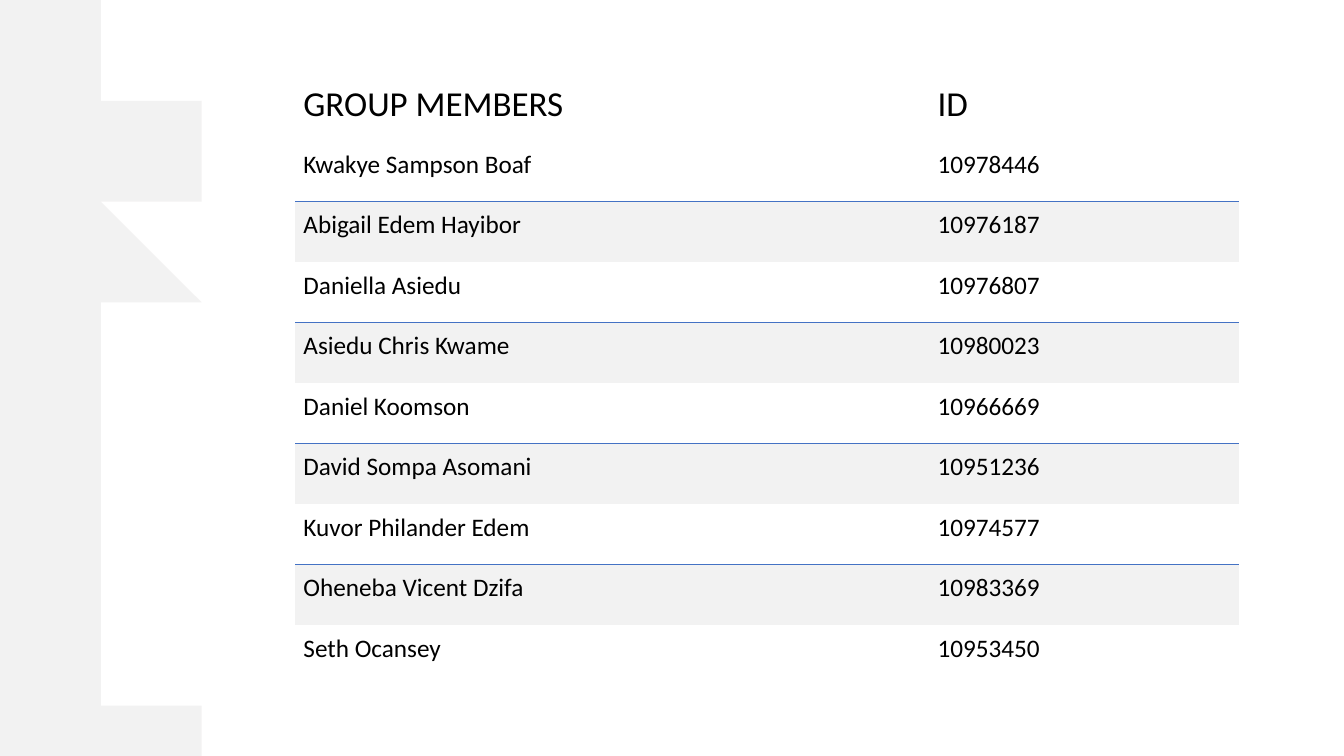
import pptx
import pptx.util
import pptx.dml.color
import pptx.enum.text
import pptx.oxml
import pptx.oxml.ns
import lxml.etree

Inches = pptx.util.Inches
qn = pptx.oxml.ns.qn

# Content
ROWS = [
    ("GROUP MEMBERS", "ID"),
    ("Kwakye Sampson Boaf", "10978446"),
    ("Abigail Edem Hayibor", "10976187"),
    ("Daniella Asiedu", "10976807"),
    ("Asiedu Chris Kwame", "10980023"),
    ("Daniel Koomson", "10966669"),
    ("David Sompa Asomani", "10951236"),
    ("Kuvor Philander Edem", "10974577"),
    ("Oheneba Vicent Dzifa", "10983369"),
    ("Seth Ocansey", "10953450"),
]
COLORS = {"brush": "E7E6E6", "band": "F2F2F2", "rule": "4472C4", "text": "000000"}
WIDTHS = (6.29, 3.07)
HEAD, BODY = 0.7, 0.6

# Corners of the brush stroke, in inches
EDGE = [
    (0, 0), (1.51, 0), (1.85, 0.12), (1.45, 0.09), (1.47, 0.18), (1.7, 0.24),
    (1.8, 0.41), (1.45, 0.4), (1.34, 0.39), (1.24, 0.42), (1.26, 0.53),
    (1.49, 0.61), (1.35, 0.63), (1.13, 0.56), (0.9, 0.6), (0.37, 0.51),
    (0.8, 0.71), (1.1, 0.81), (1.39, 1), (1.28, 1.04), (1.6, 1.22),
    (1.66, 1.33), (1.5, 1.35), (1.53, 1.49), (1.91, 1.68), (1.92, 1.78),
    (1.78, 1.81), (1.95, 2.02), (2.12, 2.17), (2.08, 2.3), (1.71, 2.27),
    (2.1, 2.42), (1.7, 2.37), (0.84, 2.07), (1.36, 2.4), (1.55, 2.62),
    (1.8, 2.63), (1.93, 2.75), (1.64, 2.76), (1.55, 2.85), (1.1, 2.79),
    (1.02, 2.96), (0.9, 3.15), (0.55, 3.22), (0.75, 3.44), (1.15, 3.64),
    (0.75, 3.53), (0.69, 3.71), (0.88, 3.87), (0.97, 4.04), (0.92, 4.47),
    (0.9, 4.57), (0.74, 4.61), (0.7, 4.82), (0.39, 4.79), (0.73, 5.05),
    (0.41, 5), (0.38, 5.1), (0.62, 5.26), (1.03, 5.64), (0.63, 5.46),
    (1.12, 5.92), (1.2, 6.18), (1.34, 6.31), (1.11, 6.29), (1.39, 6.57),
    (1.69, 6.78), (1.19, 6.62), (1.09, 6.67), (1.42, 6.94), (1.57, 6.99),
    (1.62, 7.2), (2.17, 7.5), (0, 7.5),
]


def color(name):
    return pptx.dml.color.RGBColor.from_string(COLORS[name])


def apply(item, look):
    for key, value in look.items():
        setattr(item, key, value)


def border(cell, lined):
    """Draw a rule on the lined sides and clear the others."""
    props = cell._tc.get_or_add_tcPr()
    for side in "LRTB":
        line = lxml.etree.SubElement(props, qn("a:ln" + side), w="12700")
        if side in lined:
            fill = lxml.etree.SubElement(line, qn("a:solidFill"))
            lxml.etree.SubElement(fill, qn("a:srgbClr"), val=COLORS["rule"])
        else:
            lxml.etree.SubElement(line, qn("a:noFill"))


deck = pptx.Presentation()
apply(deck, {"slide_width": Inches(13.33), "slide_height": Inches(7.5)})
slide = deck.slides.add_slide(deck.slide_layouts[6])

# Brush stroke on the left
trace = slide.shapes.build_freeform(*EDGE[0], scale=Inches(1))
trace.add_line_segments(EDGE[1:], close=True)
brush = trace.convert_to_shape()
brush.shadow.inherit = False
brush.line.fill.background()
brush.fill.solid()
brush.fill.fore_color.rgb = color("brush")
tint = brush._element.spPr.find(".//" + qn("a:srgbClr"))
lxml.etree.SubElement(tint, qn("a:alpha"), val="50000")

# Table of members
high = HEAD + BODY * (len(ROWS) - 1)
table = slide.shapes.add_table(len(ROWS), len(WIDTHS), Inches(2.93), Inches(0.7),
                               Inches(sum(WIDTHS)), Inches(high)).table
apply(table, {"first_row": False, "horz_banding": False})
for col, width in zip(table.columns, WIDTHS):
    col.width = Inches(width)

anchor = pptx.enum.text.MSO_ANCHOR
inset = {"margin_left": Inches(0.08), "margin_right": Inches(0.08),
         "margin_top": Inches(0.08), "margin_bottom": Inches(0.15)}
for r, texts in enumerate(ROWS):
    head, last = r == 0, r == len(ROWS) - 1
    band = r % 2 == 0 and not head
    table.rows[r].height = Inches(HEAD if head else BODY)
    for c, text in enumerate(texts):
        cell = table.cell(r, c)
        apply(cell, inset)
        cell.vertical_anchor = anchor.BOTTOM if head else anchor.TOP
        border(cell, "T" if band else "" if head or last else "B")
        if band:
            cell.fill.solid()
            cell.fill.fore_color.rgb = color("band")
        else:
            cell.fill.background()
        run = cell.text_frame.paragraphs[0].add_run()
        run.text = text
        apply(run.font, {"name": "Calibri", "bold": False,
                         "size": pptx.util.Pt(25 if head else 18)})
        run.font.color.rgb = color("text")

deck.save("out.pptx")
